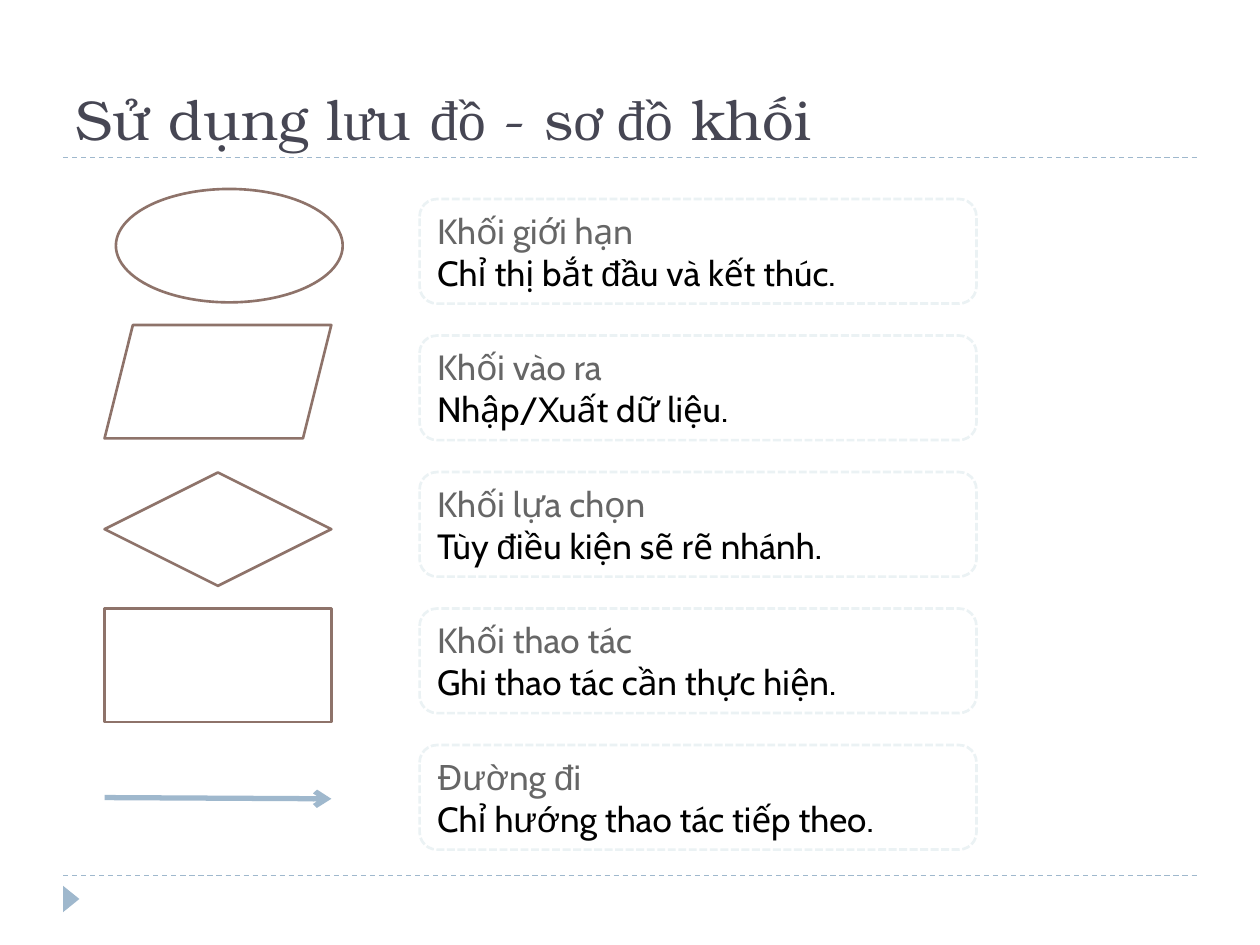
from lxml import etree
from pptx import Presentation
from pptx import util as u
from pptx.dml.color import RGBColor
from pptx.enum import dml, shapes, text
from pptx.oxml.ns import qn

ACCENT = "9FB8CD"
SYMBOL_LINE = "8E736A"
CARD_LINE = "EBF2F4"
WHITE = "FFFFFF"
TITLE_COLOR = "464653"
HEADING_COLOR = "666666"
BODY_COLOR = "000000"

SYMBOLS = [
    (shapes.MSO_SHAPE.OVAL, 0.92, 1.5),
    (shapes.MSO_SHAPE.PARALLELOGRAM, 0.83, 2.58),
    (shapes.MSO_SHAPE.DIAMOND, 0.83, 3.75),
    (shapes.MSO_SHAPE.RECTANGLE, 0.83, 4.83),
]
DESCRIPTIONS = [
    ("Khối giới hạn", "Chỉ thị bắt |đầ|u và kết thúc."),
    ("Khối vào ra", "Nhập/Xuất dữ liệu."),
    ("Khối lựa chọn", "Tùy |đ|iều kiện sẽ rẽ nhánh."),
    ("Khối thao tác", "Ghi thao tác cần thực hiện."),
    ("Đ|ườ|ng |đ|i", "Chỉ h|ướ|ng thao tác tiếp theo."),
]
FIRST_CARD_TOP = 1.58
CARD_PITCH = 13 / 12


def color(value):
    return RGBColor.from_string(value)


def write_paragraph(paragraph, marked_text, size, ink, main_font, second_font):
    paragraph.alignment = text.PP_ALIGN.LEFT
    paragraph.font.size = u.Pt(size)
    paragraph.font.color.rgb = color(ink)
    paragraph.font.name = main_font
    for index, segment in enumerate(marked_text.split("|")):
        run = paragraph.add_run()
        run.text = segment
        if index % 2:
            run.font.name = second_font


def add_block(slide, kind, left, top, width, height, fill, outline=None):
    block = slide.shapes.add_shape(
        kind, u.Inches(left), u.Inches(top), u.Inches(width), u.Inches(height))
    block.shadow.inherit = False
    block.fill.solid()
    block.fill.fore_color.rgb = color(fill)
    if outline:
        block.line.color.rgb = color(outline)
        block.line.width = u.Pt(1.5)
    else:
        block.line.fill.background()
    return block


def add_line(slide, start, end, width):
    line = slide.shapes.add_connector(
        shapes.MSO_CONNECTOR.STRAIGHT, *map(u.Inches, start + end))
    line.line.color.rgb = color(ACCENT)
    line.line.width = u.Pt(width)
    etree.SubElement(line._element.spPr, qn("a:effectLst"))
    return line


def add_rule(slide, y):
    rule = add_line(slide, (0.5, y), (9.5, y), 0.75)
    rule.line.dash_style = dml.MSO_LINE.DASH


def add_flow_arrow(slide):
    arrow = add_line(slide, (0.83, 6.33), (2.63, 6.34), 3)
    etree.SubElement(arrow.line._get_or_add_ln(), qn("a:tailEnd"), type="arrow")


def add_title(slide):
    title = slide.shapes.add_textbox(
        u.Inches(0.5), u.Inches(0.25), u.Inches(9), u.Inches(1))
    frame = title.text_frame
    frame.word_wrap = True
    frame.vertical_anchor = text.MSO_ANCHOR.BOTTOM
    write_paragraph(frame.paragraphs[0], "Sử dụng l|ư|u |đồ| - s|ơ đồ| khối",
                    32, TITLE_COLOR, "TeX Gyre Bonum", "Times New Roman")


def add_card(slide, top, heading, body):
    card = add_block(slide, shapes.MSO_SHAPE.ROUNDED_RECTANGLE,
                     3.33, top, 4.42, 0.83, WHITE, CARD_LINE)
    card.line.dash_style = dml.MSO_LINE.SQUARE_DOT
    frame = card.text_frame
    frame.word_wrap = False
    frame.vertical_anchor = text.MSO_ANCHOR.MIDDLE
    write_paragraph(frame.paragraphs[0], heading, 20, HEADING_COLOR, "Cabin", "Arial")
    write_paragraph(frame.add_paragraph(), body, 20, BODY_COLOR, "Cabin", "Arial")


def main():
    deck = Presentation()
    deck.slide_width = u.Inches(10)
    deck.slide_height = u.Inches(7.5)
    slide = deck.slides.add_slide(deck.slide_layouts[6])

    add_rule(slide, 6.95)
    add_rule(slide, 1.25)
    marker = add_block(slide, shapes.MSO_SHAPE.ISOSCELES_TRIANGLE,
                       0.46, 7.07, 0.21, 0.13, ACCENT)
    marker.rotation = 90
    add_title(slide)

    for kind, left, top in SYMBOLS:
        add_block(slide, kind, left, top, 1.8, 0.9, WHITE, SYMBOL_LINE)
    for row, (heading, body) in enumerate(DESCRIPTIONS):
        add_card(slide, FIRST_CARD_TOP + row * CARD_PITCH, heading, body)
    add_flow_arrow(slide)

    deck.save("out.pptx")


if __name__ == "__main__":
    main()
